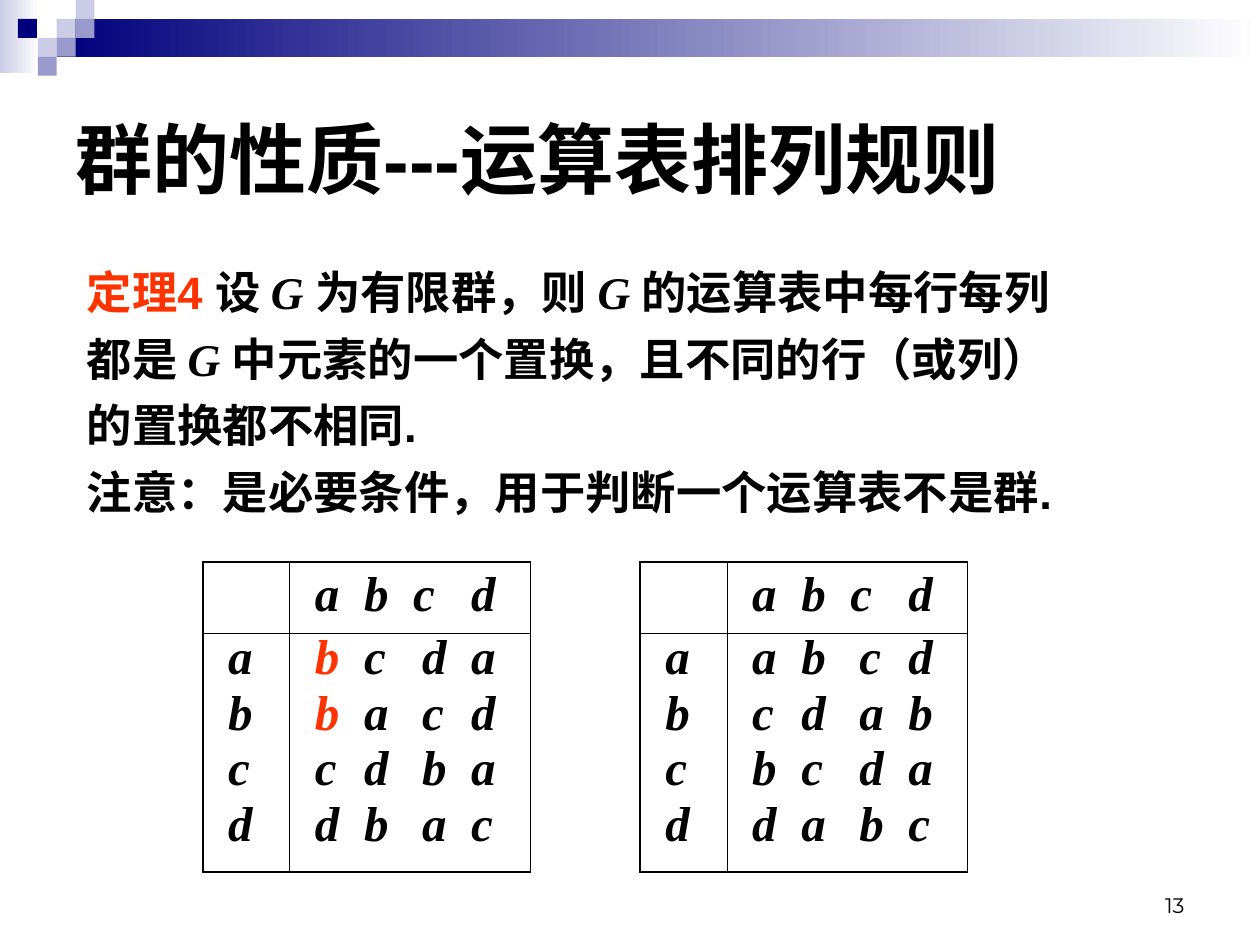
from lxml import etree
from pptx import Presentation
from pptx.dml.color import RGBColor
from pptx.enum.shapes import MSO_SHAPE
from pptx.enum.text import MSO_ANCHOR, PP_ALIGN
from pptx.oxml.ns import qn
from pptx.util import Inches, Pt

RECT = MSO_SHAPE.RECTANGLE
TOP, MIDDLE, BOTTOM = MSO_ANCHOR.TOP, MSO_ANCHOR.MIDDLE, MSO_ANCHOR.BOTTOM
LEFT, RIGHT = PP_ALIGN.LEFT, PP_ALIGN.RIGHT

NAVY, LILAC, VIOLET = "00007D", "CCCCE6", "9999CC"
BLACK, WHITE, RED = "000000", "FFFFFF", "FF3300"
UNIT = 0.15  # side of one square in the header ornament
THICK, THIN = 1.08, 0.45

TITLE = {"name": "Arial", "size": Pt(44), "bold": True}
BODY = {"name": "Arial", "size": Pt(25.9), "bold": True}
MATH = {**BODY, "name": "Times New Roman", "italic": True}
CELL = {**MATH, "size": Pt(28)}
NUMBER = {"name": "Montserrat", "size": Pt(12)}

SQUARES = [(3, 1, LILAC), (4, 0, LILAC), (4, 1, VIOLET), (2, 2, LILAC),
           (0.95, 1, NAVY), (3, 2, VIOLET), (2, 3, VIOLET)]
THEOREM = [
    [("定理4 ", BODY, RED), ("设 ", BODY), ("G ", MATH), ("为有限群，则 ", BODY),
     ("G ", MATH), ("的运算表中每行每列", BODY)],
    [("都是 ", BODY), ("G ", MATH), ("中元素的一个置换，且不同的行（或列）", BODY)],
    [("的置换都不相同.", BODY)],
    [("注意：是必要条件，用于判断一个运算表不是群.", BODY)],
]
ELEMENTS = "abcd"
HEAD_TABS = (0.39, 0.78, 1.24)
ROW_TABS = (0.39, 0.85, 1.24)


def color(hex_string):
    return RGBColor.from_string(hex_string)


def add_rect(s, x, y, w, h, fill, fade_to=None):
    sp = s.shapes.add_shape(RECT, Inches(x), Inches(y), Inches(w), Inches(h))
    sp.shadow.inherit = False
    sp.line.fill.background()
    if fade_to is None:
        sp.fill.solid()
        sp.fill.fore_color.rgb = color(fill)
        return
    sp.fill.gradient()
    sp.fill.gradient_angle = 0
    for stop, position, c in zip(sp.fill.gradient_stops, (0, 1), (fill, fade_to)):
        stop.position = position
        stop.color.rgb = color(c)


def add_run(p, text, style, c=BLACK):
    r = p.add_run()
    r.text = text
    for key, value in style.items():
        setattr(r.font, key, value)
    r.font.color.rgb = color(c)


def set_tabs(p, stops):
    tabs = etree.SubElement(p._p.get_or_add_pPr(), qn("a:tabLst"))
    for stop in stops:
        etree.SubElement(tabs, qn("a:tab"), pos=str(Inches(stop)), algn="l")


def fill_text(tf, lines, align=LEFT, line_spacing=None, tabs=()):
    """Write one paragraph per line; a line is a list of (text, style[, colour])."""
    for i, line in enumerate(lines):
        p = tf.add_paragraph() if i else tf.paragraphs[0]
        if tabs:
            set_tabs(p, tabs)
        p.alignment = align
        p.line_spacing = line_spacing
        p.space_before = Pt(7 if i else 0)
        for run in line:
            add_run(p, *run)


def add_text(s, x, y, w, h, lines, anchor=TOP, **layout):
    tf = s.shapes.add_textbox(Inches(x), Inches(y), Inches(w), Inches(h)).text_frame
    tf.word_wrap = True
    tf.vertical_anchor = anchor
    fill_text(tf, lines, **layout)


def set_borders(cell, **widths):
    tc_pr = cell._tc.get_or_add_tcPr()
    for i, (side, width) in enumerate(widths.items()):
        ln = etree.Element(qn(f"a:ln{side}"), w=str(Pt(width)))
        fill = etree.SubElement(ln, qn("a:solidFill"))
        etree.SubElement(fill, qn("a:srgbClr"), val=BLACK)
        tc_pr.insert(i, ln)


def table_row(letters, red_first=False):
    """Letters parted by tabs, the first one red if asked."""
    if red_first:
        return [(letters[0], CELL, RED), ("\t" + "\t".join(letters[1:]), CELL)]
    return [("\t".join(letters), CELL)]


def add_operation_table(s, x, products, red_rows=()):
    """Cayley table of the four elements, with a head row and a head column."""
    shape = s.shapes.add_table(2, 2, Inches(x), Inches(4.46), Inches(2.6), Inches(2.46))
    table = shape.table
    for band in ("first_row", "horz_banding"):
        setattr(table, band, False)
    for i, (w, h) in enumerate(zip((0.69, 1.91), (0.57, 1.89))):
        table.columns[i].width = Inches(w)
        table.rows[i].height = Inches(h)

    rows = [table_row(letters, i in red_rows) for i, letters in enumerate(products)]
    contents = {
        (0, 1): ([table_row(ELEMENTS)], None, HEAD_TABS),
        (1, 0): ([[(e, CELL)] for e in ELEMENTS], 0.8, ()),
        (1, 1): (rows, 0.8, ROW_TABS),
    }
    for row in range(2):
        for col in range(2):
            cell = table.cell(row, col)
            cell.fill.background()
            cell.margin_left = Inches(0.2)
            set_borders(cell, L=THIN if col else THICK, R=THICK if col else THIN,
                        T=THIN if row else THICK, B=THICK if row else THIN)
            if (row, col) in contents:
                lines, spacing, tabs = contents[row, col]
                fill_text(cell.text_frame, lines, line_spacing=spacing, tabs=tabs)


def add_ornament(s):
    add_rect(s, 0, 0, 0.31, 0.58, LILAC, WHITE)
    add_rect(s, 3 * UNIT, UNIT, 10 - 3 * UNIT, 2 * UNIT, NAVY, WHITE)
    for col, row, fill in SQUARES:
        add_rect(s, col * UNIT, row * UNIT, UNIT, UNIT, fill)


def main():
    prs = Presentation()
    prs.slide_width, prs.slide_height = Inches(10), Inches(7.5)
    s = prs.slides.add_slide(prs.slide_layouts[6])
    add_ornament(s)
    add_text(s, 0.5, 0.5, 9, 1.5, [[("群的性质---运算表排列规则", TITLE)]], MIDDLE)
    add_text(s, 0.59, 2.05, 8.9, 2.28, THEOREM, line_spacing=Pt(31))
    add_operation_table(s, 1.61, ("bcda", "bacd", "cdba", "dbac"), red_rows=(0, 1))
    add_operation_table(s, 5.08, ("abcd", "cdab", "bcda", "dabc"))
    add_text(s, 7.17, 6.83, 2.33, 0.5, [[("13", NUMBER)]], BOTTOM, align=RIGHT)
    prs.save("out.pptx")


if __name__ == "__main__":
    main()
